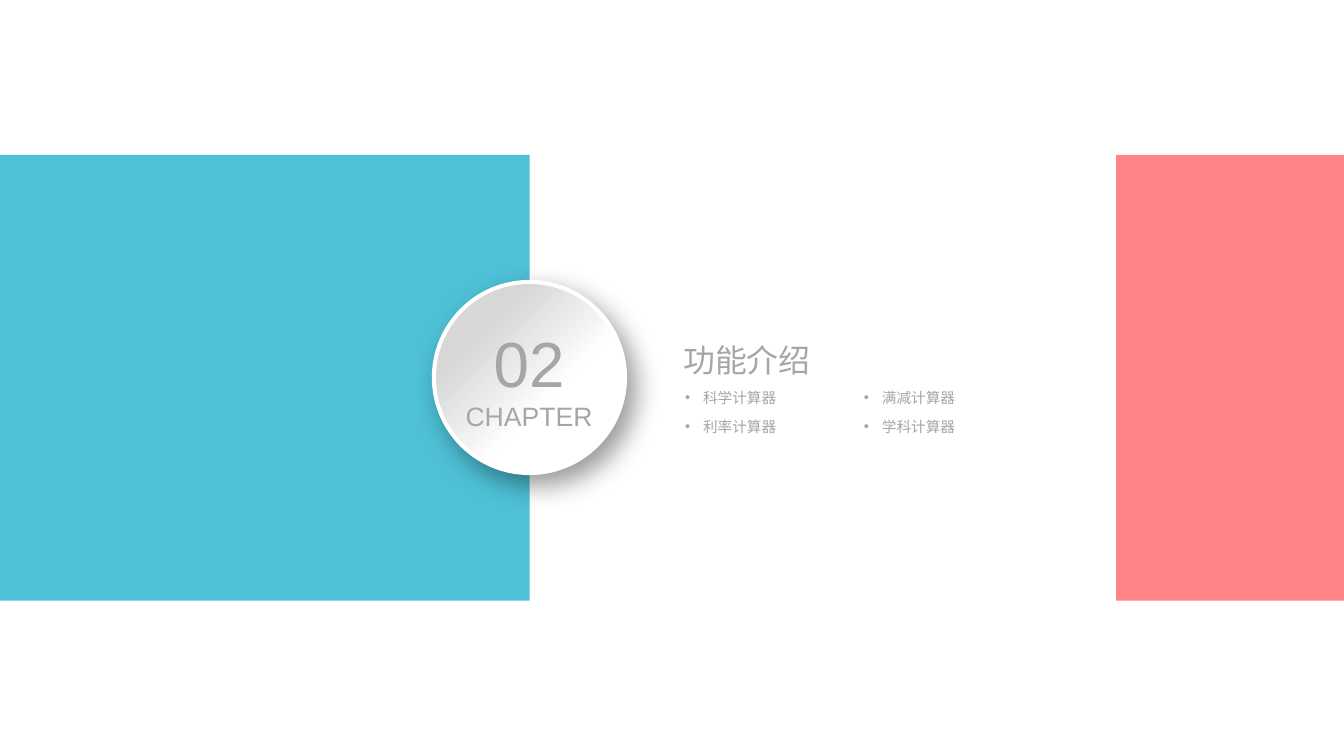
from lxml.etree import SubElement
from pptx import Presentation
from pptx.dml.color import RGBColor
from pptx.enum.shapes import MSO_SHAPE
from pptx.enum.text import MSO_ANCHOR, MSO_AUTO_SIZE, PP_ALIGN
from pptx.oxml.ns import qn
from pptx.util import Pt

COLORS = {
    "teal": "4EC1D6",
    "coral": "FF8486",
    "silver": "D7D7D7",
    "white": "FFFFFF",
    "black": "000000",
    "text": "A6A6A6",
}


class ChapterSlide:
    """Draws the parts of a chapter divider on one slide."""

    font_name = "Arial"

    def __init__(self, slide):
        self.slide = slide

    def color(self, name):
        return RGBColor.from_string(COLORS[name])

    def shape(self, kind, left, top, width, height):
        shape = self.slide.shapes.add_shape(kind, Pt(left), Pt(top), Pt(width), Pt(height))
        shape.shadow.inherit = False
        return shape

    def band(self, left, width, color):
        shape = self.shape(MSO_SHAPE.RECTANGLE, left, 116.7, width, 335.8)
        shape.fill.solid()
        shape.fill.fore_color.rgb = self.color(color)
        shape.line.fill.background()

    def badge(self, left, top, size):
        shape = self.shape(MSO_SHAPE.OVAL, left, top, size, size)
        shape.fill.gradient()
        shape.fill.gradient_angle = 315
        stops = ((0.25, "silver"), (0.62, "white"))
        for stop, (position, color) in zip(shape.fill.gradient_stops, stops):
            stop.position = position
            stop.color.rgb = self.color(color)
        shape.line.color.rgb = self.color("white")
        shape.line.width = Pt(3)
        self.cast_shadow(shape)

    def cast_shadow(self, shape):
        effects = shape._element.spPr.find(qn("a:effectLst"))
        values = {"blurRad": Pt(20), "dist": Pt(10), "dir": 50 * 60000, "algn": "tl", "rotWithShape": 0}
        shadow = SubElement(effects, qn("a:outerShdw"))
        for name, value in values.items():
            shadow.set(name, str(value))
        color = SubElement(shadow, qn("a:srgbClr"), val=COLORS["black"])
        SubElement(color, qn("a:alpha"), val="40000")

    def text(self, box, lines, align=PP_ALIGN.LEFT, **frame_format):
        frame = self.slide.shapes.add_textbox(*map(Pt, box)).text_frame
        frame_format = {"word_wrap": True, "auto_size": MSO_AUTO_SIZE.SHAPE_TO_FIT_TEXT} | frame_format
        for name, value in frame_format.items():
            setattr(frame, name, value)
        for index, (words, size) in enumerate(lines):
            paragraph = frame.add_paragraph() if index else frame.paragraphs[0]
            paragraph.alignment = align
            run = paragraph.add_run()
            run.text = words
            run.font.color.rgb = self.color("text")
            for name, value in {"name": self.font_name, "size": Pt(size)}.items():
                setattr(run.font, name, value)
        return frame

    def bullet(self, left, top, words):
        frame = self.text((left, top, 100, 20.2), [(words, 11)])
        paragraph = frame.paragraphs[0]
        paragraph.level = 1
        properties = paragraph._p.get_or_add_pPr()
        for name, value in {"marL": Pt(13.5), "indent": Pt(-13.5)}.items():
            properties.set(name, str(value))
        SubElement(properties, qn("a:buFont"), typeface=self.font_name)
        SubElement(properties, qn("a:buChar"), char="•")


def main():
    presentation = Presentation()
    presentation.slide_width = Pt(1012.32)
    presentation.slide_height = Pt(569.52)
    chapter = ChapterSlide(presentation.slides.add_slide(presentation.slide_layouts[6]))

    chapter.band(-2, 401, "teal")
    chapter.band(840.6, 173.4, "coral")
    chapter.badge(326.8, 212.4, 144)

    no_margins = {f"margin_{side}": 0 for side in ("left", "top", "right", "bottom")}
    chapter.text((338.8, 243.4, 119.5, 82.1), [("02", 48), ("CHAPTER", 20)],
                 PP_ALIGN.CENTER, vertical_anchor=MSO_ANCHOR.MIDDLE, **no_margins)
    chapter.text((514.6, 256.3, 250.6, 28.8), [("功能介绍", 24)], **no_margins)

    topics = (("科学计算器", "满减计算器"), ("利率计算器", "学科计算器"))
    for row, names in enumerate(topics):
        for column, name in enumerate(names):
            chapter.bullet(509 + column * 134.7, 289.4 + row * 21.6, name)

    presentation.save("out.pptx")


if __name__ == "__main__":
    main()
